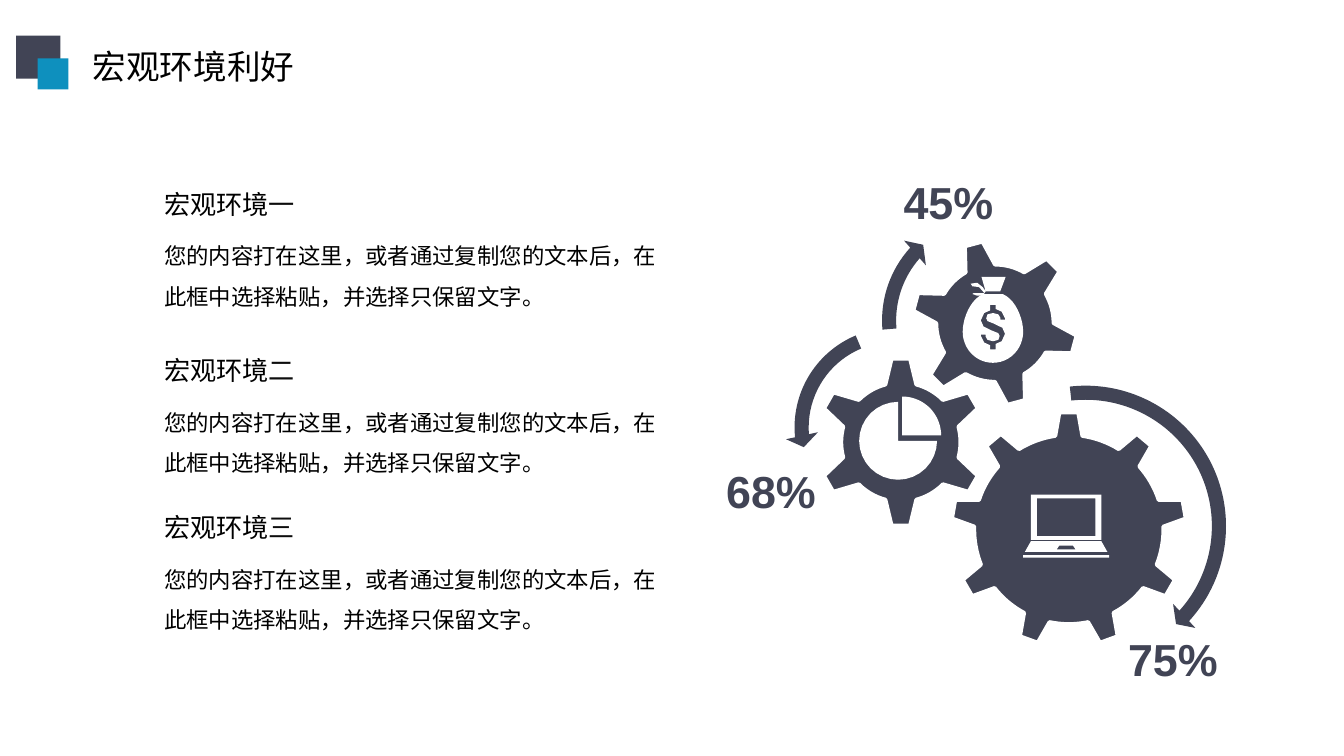
import math
import pptx
import pptx.util
import pptx.dml.color
import pptx.enum.shapes
import pptx.enum.text
import pptx.oxml.ns
from lxml import etree

HEX = {"dark": "414455", "blue": "0E90BE", "white": "FFFFFF", "black": "000000", "ink": "0D0D0D"}
SANS = "Noto Sans CJK SC"
CELL = pptx.util.Inches(0.1)
COLS, ROWS = 100, 56.25
KIND = pptx.enum.shapes.MSO_SHAPE
NOTE = "您的内容打在这里，或者通过复制您的文本后，在此框中选择粘贴，并选择只保留文字。"


def rgb(name):
    """Return a palette colour."""
    return pptx.dml.color.RGBColor.from_string(HEX[name])


def grid(box):
    """Turn a box in cells into lengths."""
    return [round(v * CELL) for v in box]


def paint(shape, fill, edge=0):
    """Fill a shape, with a white edge of the given points or none."""
    shape.shadow.inherit = False
    shape.fill.solid()
    shape.fill.fore_color.rgb = rgb(fill)
    if edge:
        shape.line.color.rgb = rgb("white")
        shape.line.width = pptx.util.Pt(edge)
    else:
        shape.line.fill.background()


def preset(slide, kind, box, fill, adj=()):
    """Add a preset shape with its adjustments."""
    shape = slide.shapes.add_shape(kind, *grid(box))
    for i, val in enumerate(adj):
        shape.adjustments[i] = val
    paint(shape, fill)


def outline(slide, box, rings, fill, edge=0):
    """Draw closed rings whose points are shares of the box."""
    left, top, wide, high = grid(box)
    rings = [[(left + x * wide, top + y * high) for x, y in ring] for ring in rings]
    pen = slide.shapes.build_freeform(*rings[0][0], scale=1.0)
    for i, ring in enumerate(rings):
        if i:
            pen.move_to(*ring[0])
        pen.add_line_segments(ring[1:], close=True)
    paint(pen.convert_to_shape(), fill, edge)


def arc(mid, rx, ry, start, end, steps=24):
    """Sample an elliptic arc, in degrees."""
    turns = [math.radians(start + (end - start) * i / steps) for i in range(steps + 1)]
    return [(mid[0] + rx * math.cos(t), mid[1] + ry * math.sin(t)) for t in turns]


def bend(a, b, c, d, steps=10):
    """Sample a cubic curve."""
    ts = [i / steps for i in range(steps + 1)]
    return [tuple((1 - t) ** 3 * a[k] + 3 * t * (1 - t) ** 2 * b[k]
                  + 3 * t * t * (1 - t) * c[k] + t ** 3 * d[k] for k in (0, 1)) for t in ts]


def rect(x1, y1, x2, y2):
    """Return the corners of a rectangle."""
    return [(x1, y1), (x2, y1), (x2, y2), (x1, y2)]


def gear(slide, box, teeth, turn, root, base, tip):
    """Draw a gear whose tooth sizes are shares of its radius."""
    step = 360 / teeth
    half = math.degrees(math.atan2(base, root))
    rim = math.hypot(root, base) / 2
    ring = []
    for i in range(teeth):
        deg = turn + i * step
        c, s = math.cos(math.radians(deg)), math.sin(math.radians(deg))
        ring += [(0.5 + (c - s * w) / 2, 0.5 + (s + c * w) / 2) for w in (-tip, tip)]
        ring += arc((0.5, 0.5), rim, rim, deg + half, deg + step - half, 8)
    outline(slide, box, [ring], "dark", 2)


def laptop(slide, box):
    """Draw the laptop icon."""
    base = [(0.09, 0.74), (0.91, 0.74), (0.98, 0.91), (0.02, 0.91)]
    pad = [(0.42, 0.81), (0.58, 0.81), (0.61, 0.87), (0.39, 0.87)]
    outline(slide, box, [rect(0.09, 0, 0.91, 0.72), rect(0.16, 0.06, 0.84, 0.66),
                         base, pad, rect(0, 0.96, 1, 1)], "white")


def pie(slide, box):
    """Draw the pie icon with one slice apart."""
    for mid, start, end in (((0.475, 0.525), 0, 270), ((0.525, 0.46), 270, 360)):
        outline(slide, box, [[mid] + arc(mid, 0.475, 0.475, start, end)], "white")


def purse(slide, box):
    """Draw the money bag icon with its cut-out sign."""
    neck = [(0.31, 0), (0.71, 0), (0.62, 0.17), (0.38, 0.17)]
    bow = [(0.13, 0.08), (0.24, 0.07), (0.33, 0.12), (0.38, 0.17), (0.36, 0.19), (0.27, 0.12), (0.16, 0.11)]
    tail = [(0.18, 0.19), (0.36, 0.19), (0.33, 0.22), (0.24, 0.22), (0.16, 0.2)]
    side = bend((0.66, 0.2), (0.87, 0.26), (1, 0.48), (1, 0.64))
    sack = side + arc((0.5, 0.64), 0.5, 0.36, 0, 180) + [(1 - x, y) for x, y in side[::-1]]
    half = [(2, -16.5), (2, -13.5), (6.5, -11.5), (9, -6.5), (9, -5.5), (5.5, -5.5), (5.5, -7),
            (4, -9.5), (0, -10.5), (-4, -9.5), (-5, -6.5), (-4, -4.5), (1, -2.5), (7, 0.5),
            (9, 5), (6.5, 10.5), (2, 12.5), (2, 16.5)]
    sign = [(0.5 + k * x / 45, 0.585 + k * y / 64) for k in (1, -1) for x, y in half]
    outline(slide, box, [neck, bow, tail], "white")
    outline(slide, box, [sack, sign], "white")


def style(par, size, name, fill, bold=False):
    """Set the font of a paragraph for Latin and Chinese text."""
    font = par.font
    font.size, font.name, font.bold = pptx.util.Pt(size), name, bold
    font.color.rgb = rgb(fill)
    qn = pptx.oxml.ns.qn
    etree.SubElement(par._p.find(".//" + qn("a:defRPr")), qn("a:ea")).set("typeface", name)


def label(slide, box, parts, size, wrap=False, name=SANS, fill="black", bold=False):
    """Add a text box holding one paragraph and return its frame."""
    frame = slide.shapes.add_textbox(*grid(box)).text_frame
    frame.word_wrap = wrap
    par = frame.paragraphs[0]
    for part in parts:
        par.add_run().text = part
    style(par, size, name, fill, bold)
    return frame


def header(slide, box):
    """Place the title and the two squares before it."""
    x, y, w, h = box
    title = slide.shapes.title
    title.left, title.top, title.width, title.height = grid((x + 4.7, y + 0.25, w - 4.7, h))
    frame = title.text_frame
    frame.text = "宏观环境利好"
    frame.word_wrap = False
    frame.auto_size = pptx.enum.text.MSO_AUTO_SIZE.NONE
    frame.vertical_anchor = pptx.enum.text.MSO_ANCHOR.TOP
    par = frame.paragraphs[0]
    par.alignment = pptx.enum.text.PP_ALIGN.LEFT
    style(par, 18, SANS, "black")
    preset(slide, KIND.RECTANGLE, (x, y, 3.3, 3.2), "dark")
    preset(slide, KIND.RECTANGLE, (x + 1.6, y + 1.7, 2.3, 2.3), "blue")


def section(slide, box, mark):
    """Place a numbered heading over its note."""
    x, y, w, h = box
    head = label(slide, (x, y, 11.8, 3.4), ("宏观环境", mark), 14)
    head.paragraphs[0].runs[1].font.color.rgb = rgb("ink")
    note = label(slide, (x, y + 3.05, w, h - 3.05), (NOTE,), 12, True)
    note.paragraphs[0].line_spacing = 1.5


def share(slide, box, text):
    """Place a bold percentage."""
    frame = label(slide, box, (text,), 24, name="Arial", fill="dark", bold=True)
    frame.margin_left = frame.margin_right = pptx.util.Inches(0.07)
    frame.margin_top = frame.margin_bottom = pptx.util.Inches(0.04)


def works(slide, box):
    """Place gears, arrows, icons and percentages."""
    x, y = box[:2]

    def put(left, top, wide, high=None):
        """Return a box set off from the region's corner."""
        return x + left, y + top, wide, high or wide

    gear(slide, put(17.5, 18.1, 17.4), 9, -90, 0.8, 0.115, 0.08)
    gear(slide, put(7.5, 14.1, 12.4), 6, -90, 0.69, 0.185, 0.11)
    gear(slide, put(14.6, 5.35, 12.2), 6, -105, 0.69, 0.185, 0.11)
    for kind, spot, adj in (
            (KIND.CIRCULAR_ARROW, put(16.3, 15.4, 22.3), (0.047, 2.99, 25.393, 158.123, 0.055)),
            (KIND.LEFT_CIRCULAR_ARROW, put(5.1, 11.1, 16.2), (0.065, 4.3, 104.891, 148.378, 0.075)),
            (KIND.CIRCULAR_ARROW, put(11.6, 2.5, 17.5), (0.06, 3.941, 133.138, 105.082, 0.07))):
        preset(slide, kind, spot, "dark", adj)
    laptop(slide, put(22.8, 24.2, 6.4, 4.7))
    pie(slide, put(10.6, 17, 6.1))
    purse(slide, put(18.3, 8, 4.5, 6.4))
    for text, left, top in (("45%", 13.2, 0), ("68%", 0, 21.5), ("75%", 29.9, 34)):
        share(slide, put(left, top, 8.2, 4.8), text)


def main():
    """Build and save the slide."""
    deck = pptx.Presentation()
    deck.slide_width, deck.slide_height = grid((COLS, ROWS))
    slide = deck.slides.add_slide(deck.slide_layouts[5])
    header(slide, (1.2, 2.65, 21.9, 4))
    for mark, top in zip("一二三", (13.5, 25.9, 37.55)):
        section(slide, (11.23, top, 39, 9.75), mark)
    works(slide, (53.33, 12.6, 38.6, 38.8))
    deck.save("out.pptx")


if __name__ == "__main__":
    main()
